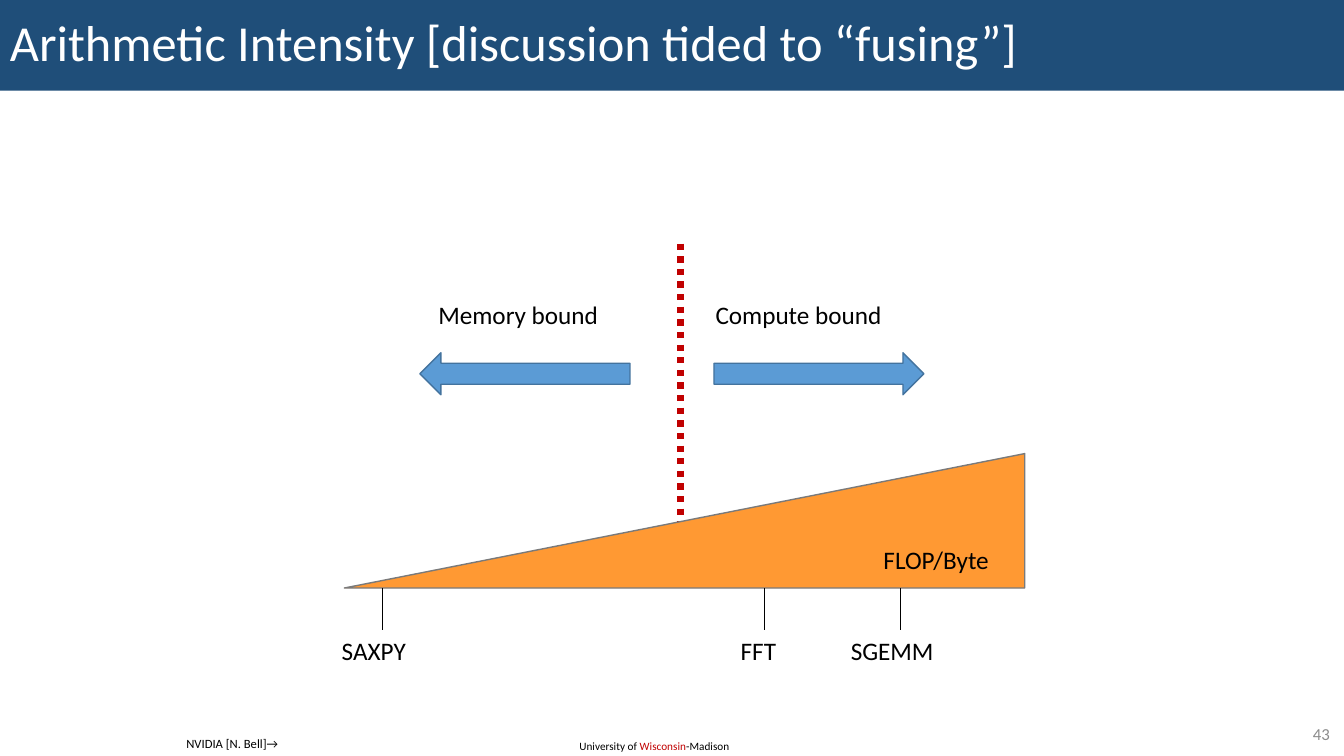
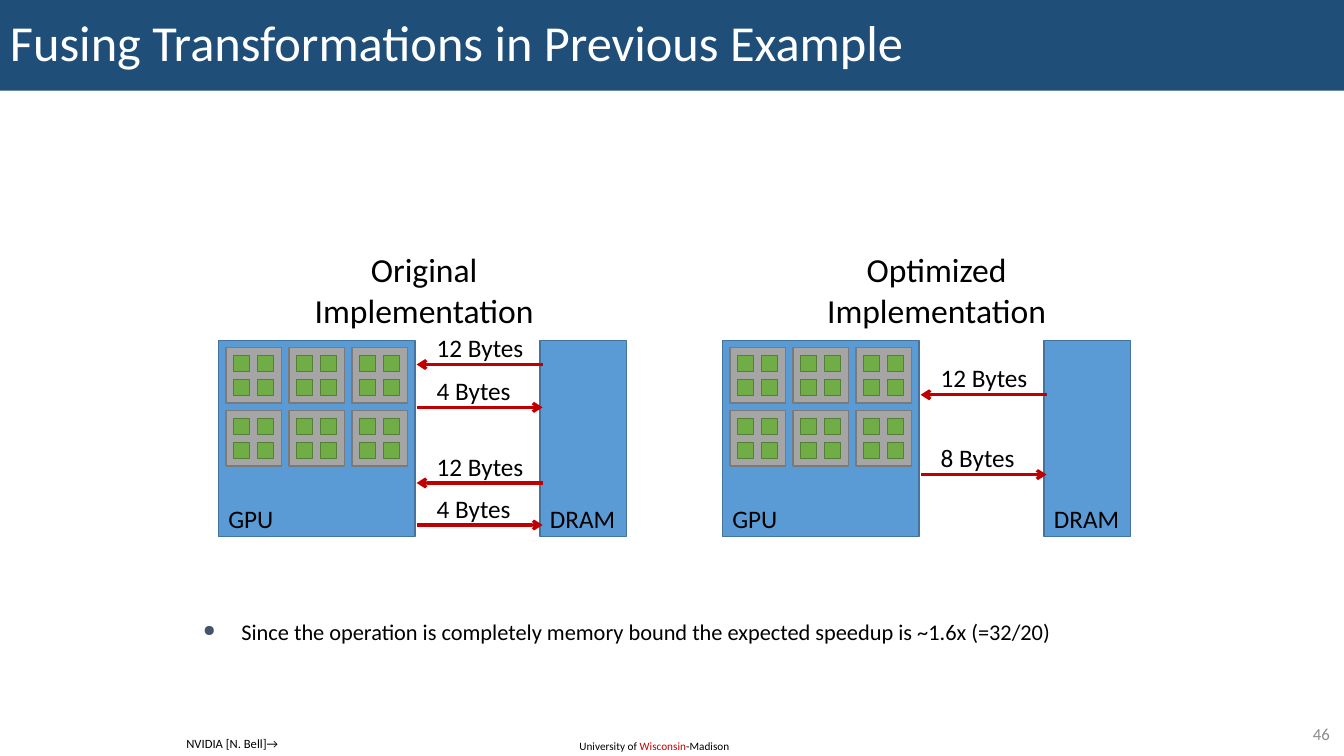
import pptx
import pptx.util
import pptx.dml.color
import pptx.enum.dml
import pptx.enum.shapes
import pptx.enum.text
import pptx.oxml.ns
from lxml import etree

RGBColor = pptx.dml.color.RGBColor
SHAPE = pptx.enum.shapes.MSO_SHAPE
ALIGN = pptx.enum.text.PP_ALIGN
ANCHOR = pptx.enum.text.MSO_ANCHOR
qn = pptx.oxml.ns.qn

# Grid of 16 columns by 9 rows with square cells
COLUMNS, ROWS = 16, 9
CELL = pptx.util.Inches(7.5) / ROWS

# Shared style
FONT = "Calibri"
BLACK = RGBColor(0x00, 0x00, 0x00)
WHITE = RGBColor(0xFF, 0xFF, 0xFF)
NAVY = RGBColor(0x1F, 0x4E, 0x79)
RED = RGBColor(0xC0, 0x00, 0x00)
BLUE = RGBColor(0x5B, 0x9B, 0xD5)
BLUE_EDGE = RGBColor(0x43, 0x73, 0x9E)
ORANGE = RGBColor(0xFF, 0x99, 0x33)
GRAY = RGBColor(0xA5, 0xA5, 0xA5)
GRAY_EDGE = RGBColor(0x7A, 0x7A, 0x7A)
GREEN = RGBColor(0x70, 0xAD, 0x47)
GREEN_EDGE = RGBColor(0x53, 0x80, 0x35)
NUMBER_GRAY = RGBColor(0x8C, 0x8C, 0x8C)
BULLET_COLOR = "44546A"
LABEL_HEIGHT = 0.48

# Shared footer
FOOTER = [("University of ", BLACK), ("Wisconsin", RED), ("-Madison", BLACK)]
CREDIT = "NVIDIA [N. Bell]→"

# Intensity slide: positions in grid cells
INTENSITY = {
    "title": "Arithmetic Intensity [discussion tided to “fusing”]",
    "number": "43",
    "divider": (8.1, 2.9, 6.3),
    "wedge": (4.1, 5.4, 8.1, 1.6),
    "axis": ("FLOP/Byte", 10.4, 6.42, 1.51),
    # label, label left, label width, arrow left, arrow shape
    "bounds": [
        ("Memory bound", 5.1, 2.17, 5, SHAPE.LEFT_ARROW),
        ("Compute bound", 8.4, 2.24, 8.5, SHAPE.RIGHT_ARROW),
    ],
    # label, label left, label width, tick column
    "kernels": [
        ("SAXPY", 3.95, 1.01, 4.55),
        ("FFT", 8.7, 0.67, 9.1),
        ("SGEMM", 10.01, 1.24, 10.72),
    ],
}

# Fusing slide: each transfer is label, label width, row, direction
READ, WRITE = "to GPU", "to DRAM"
FUSING = {
    "title": "Fusing Transformations in Previous Example",
    "number": "46",
    "diagrams": [
        {"heading": "Original Implementation", "heading_left": 3.5, "left": 2.6,
         "transfers": [("12 Bytes", 1.28, 4.34, READ), ("4 Bytes", 1.13, 4.85, WRITE),
                       ("12 Bytes", 1.28, 5.75, READ), ("4 Bytes", 1.13, 6.25, WRITE)]},
        {"heading": "Optimized Implementation", "heading_left": 9.6, "left": 8.6,
         "transfers": [("12 Bytes", 1.28, 4.7, READ), ("8 Bytes", 1.13, 5.65, WRITE)]},
    ],
    "remark": "Since the operation is completely memory bound "
              "the expected speedup is ~1.6x (=32/20)",
}
CHIP_TOP, CHIP_SIDE = 4.05, 2.34
DRAM_OFFSET, DRAM_WIDTH = 3.83, 1.03
ARROW_START, ARROW_END = 2.36, 3.86
UNIT_SIDE, CORE_SIDE = 0.66, 0.19


def cells(*values):
    return [round(value * CELL) for value in values]


def add_spans(para, spans, size):
    for text, color in spans:
        span = para.add_run()
        span.text = text
        span.font.name = FONT
        span.font.size = pptx.util.Pt(size)
        span.font.color.rgb = color


def add_text(shapes, place, spans, size=18, wrap=False, align=ALIGN.LEFT, anchor=ANCHOR.TOP):
    box = shapes.add_textbox(*cells(*place))
    frame = box.text_frame
    frame.word_wrap = wrap
    frame.vertical_anchor = anchor
    para = frame.paragraphs[0]
    para.alignment = align
    add_spans(para, spans, size)
    return para


def add_label(shapes, text, left, top, width):
    add_text(shapes, (left, top, width, LABEL_HEIGHT), [(text, BLACK)])


def add_block(shapes, kind, place, fill, edge=None):
    block = shapes.add_shape(kind, *cells(*place))
    block.shadow.inherit = False
    block.fill.solid()
    block.fill.fore_color.rgb = fill
    if edge is None:
        block.line.fill.background()
    else:
        block.line.color.rgb = edge
        block.line.width = pptx.util.Pt(1)
    return block


def add_line(shapes, start, end, color, width, arrow=False):
    line = shapes.add_connector(
        pptx.enum.shapes.MSO_CONNECTOR.STRAIGHT, *cells(*start, *end))
    line.line.color.rgb = color
    line.line.width = pptx.util.Pt(width)
    properties = line._element.spPr
    if arrow:
        etree.SubElement(properties.find(qn("a:ln")), qn("a:tailEnd"), type="arrow")
    etree.SubElement(properties, qn("a:effectLst"))
    return line


def add_page(deck, content):
    """Blank page with the title band, footer, credit and page number."""
    page = deck.slides.add_slide(deck.slide_layouts[6])
    shapes = page.shapes
    band = add_block(shapes, SHAPE.RECTANGLE, (0, 0, COLUMNS, 1.08), NAVY)
    band.text_frame.word_wrap = True
    band.text_frame.vertical_anchor = ANCHOR.MIDDLE
    para = band.text_frame.paragraphs[0]
    para.alignment = ALIGN.LEFT
    para.line_spacing = 0.9
    add_spans(para, [(content["title"], WHITE)], 36)
    add_text(shapes, (6.78, 8.74, 2.06, 0.29), FOOTER, size=8, wrap=True)
    add_text(shapes, (2.1, 8.7, 1.33, 0.3), [(CREDIT, BLACK)], size=9)
    add_text(shapes, (15.04, 8.56, 0.91, 0.35), [(content["number"], NUMBER_GRAY)],
             size=12, wrap=True, align=ALIGN.RIGHT, anchor=ANCHOR.MIDDLE)
    return page


def build_intensity(deck):
    shapes = add_page(deck, INTENSITY).shapes

    # Divider behind the wedge
    column, top, bottom = INTENSITY["divider"]
    divider = add_line(shapes, (column, top), (column, bottom), RED, 4.5)
    divider.line.dash_style = pptx.enum.dml.MSO_LINE.ROUND_DOT
    wedge = add_block(shapes, SHAPE.RIGHT_TRIANGLE, INTENSITY["wedge"], ORANGE, GRAY_EDGE)
    wedge._element.spPr.xfrm.set("flipH", "1")
    add_label(shapes, *INTENSITY["axis"])

    # Both sides of the divider
    for text, left, width, arrow_left, kind in INTENSITY["bounds"]:
        add_label(shapes, text, left, 3.5, width)
        add_block(shapes, kind, (arrow_left, 4.2, 2.5, 0.5), BLUE, BLUE_EDGE)

    # Kernels along the axis
    for text, left, width, tick in INTENSITY["kernels"]:
        add_line(shapes, (tick, 7), (tick, 7.5), BLACK, 0.5)
        add_label(shapes, text, left, 7.51, width)


def square_grid(left, top, columns, rows, side, gap):
    """Places of equal squares, with one gap around and between them."""
    for row in range(rows):
        for column in range(columns):
            yield (left + gap + column * (side + gap),
                   top + gap + row * (side + gap), side, side)


def add_diagram(page, diagram):
    left = diagram["left"]
    add_text(page.shapes, (diagram["heading_left"], 2.91, 3.1, 1.08),
             [(diagram["heading"], BLACK)], size=24, wrap=True, align=ALIGN.CENTER)
    shapes = page.shapes.add_group_shape().shapes

    # Chip and memory
    for name, offset, width, text_width in [("GPU", 0, CHIP_SIDE, 0.78),
                                            ("DRAM", DRAM_OFFSET, DRAM_WIDTH, 1.03)]:
        add_block(shapes, SHAPE.RECTANGLE, (left + offset, CHIP_TOP, width, CHIP_SIDE),
                  BLUE, BLUE_EDGE)
        add_label(shapes, name, left + offset, 5.93, text_width)

    # Units with their cores
    unit_gap = (CHIP_SIDE - 3 * UNIT_SIDE) / 4
    core_gap = (UNIT_SIDE - 2 * CORE_SIDE) / 3
    for unit in square_grid(left, CHIP_TOP, 3, 2, UNIT_SIDE, unit_gap):
        add_block(shapes, SHAPE.RECTANGLE, unit, GRAY, GRAY_EDGE)
        for core in square_grid(unit[0], unit[1], 2, 2, CORE_SIDE, core_gap):
            add_block(shapes, SHAPE.RECTANGLE, core, GREEN, GREEN_EDGE)

    # Transfers
    for text, width, row, direction in diagram["transfers"]:
        start, end = (left + ARROW_START, row), (left + ARROW_END, row)
        if direction == READ:
            start, end = end, start
        add_label(shapes, text, left + 2.48, row - 0.44, width)
        add_line(shapes, start, end, RED, 2.25, arrow=True)


def build_fusing(deck):
    page = add_page(deck, FUSING)
    for diagram in FUSING["diagrams"]:
        add_diagram(page, diagram)

    # Bulleted remark
    para = add_text(page.shapes, (2.3, 7.3, 11.4, 0.55), [(FUSING["remark"], BLACK)],
                    size=16, wrap=True)
    properties = para._p.get_or_add_pPr()
    indent = pptx.util.Inches(0.38)
    properties.set("marL", str(indent))
    properties.set("indent", str(-indent))
    color = etree.SubElement(properties, qn("a:buClr"))
    etree.SubElement(color, qn("a:srgbClr"), val=BULLET_COLOR)
    etree.SubElement(properties, qn("a:buSzPct"), val="70000")
    etree.SubElement(properties, qn("a:buChar"), char="●")


def main():
    deck = pptx.Presentation()
    deck.slide_width, deck.slide_height = cells(COLUMNS, ROWS)
    build_intensity(deck)
    build_fusing(deck)
    deck.save("out.pptx")


if __name__ == "__main__":
    main()
